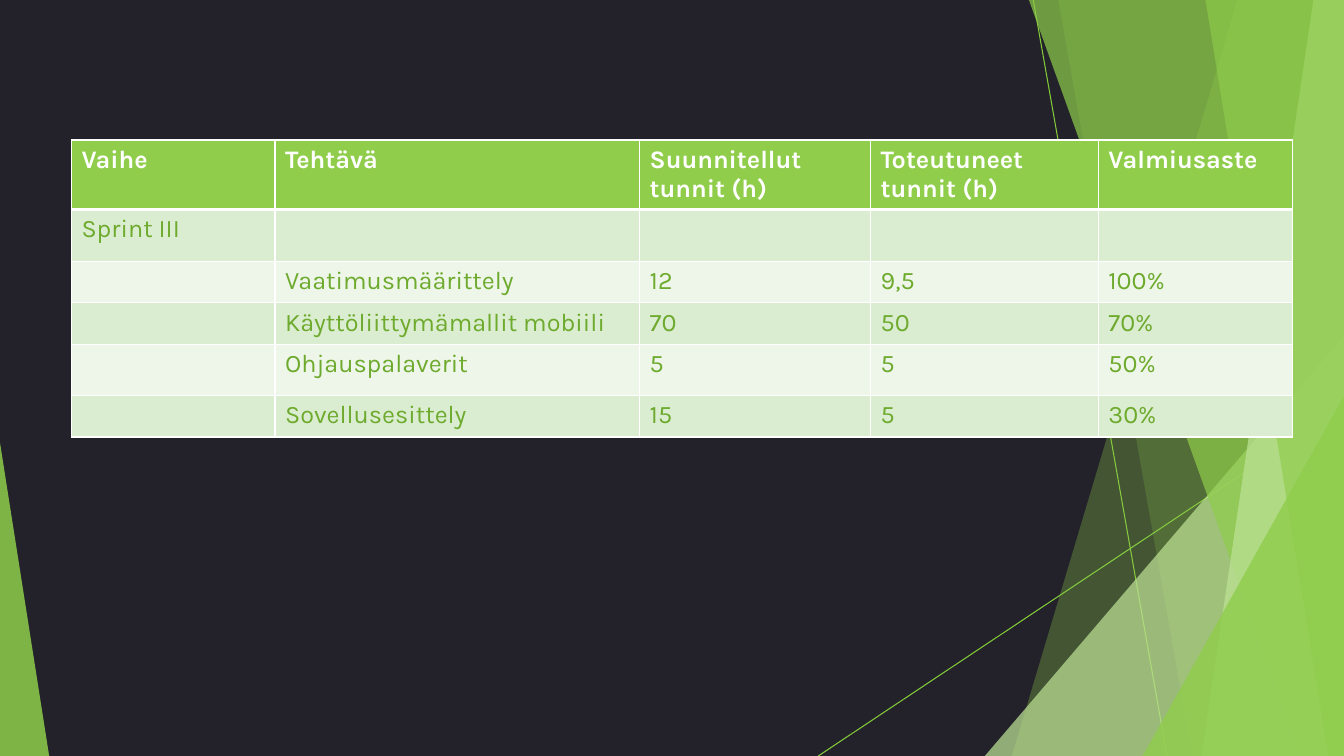
from dataclasses import dataclass

from lxml import etree
from pptx import Presentation, util as u
from pptx.dml.color import RGBColor
from pptx.enum import shapes
from pptx.oxml.ns import qn

Cm = u.Cm


@dataclass(frozen=True)
class Theme:
    """Colours, font and sizes of the slide."""
    back: str = "23222A"
    green: str = "8FCD4B"
    pale: str = "BDE295"
    line: str = "83CB39"
    ink: str = "6DAA2D"
    white: str = "FFFFFF"
    bands: tuple = ("DBEDD0", "EEF6E9")
    font: str = "Karla"
    size: int = 18
    thin: float = 0.75
    rule: int = 1
    thick: int = 3


THEME = Theme()
WIDE, HIGH = 33.87, 19.05
COLS = (5.13, 9.19, 5.82, 5.74, 4.9)
ROWS = (1.75, 1.3, 1.05, 1.05, 1.28, 1.05)
HOURS = (
    ("Vaihe", "Tehtävä", "Suunnitellut tunnit (h)", "Toteutuneet tunnit (h)", "Valmiusaste"),
    ("Sprint III", "", "", "", ""),
    ("", "Vaatimusmäärittely", "12", "9,5", "100%"),
    ("", "Käyttöliittymämallit mobiili", "70", "50", "70%"),
    ("", "Ohjauspalaverit", "5", "5", "50%"),
    ("", "Sovellusesittely", "15", "5", "30%"),
)


def paint(fill, tint):
    """Give a fill one solid colour."""
    fill.solid()
    fill.fore_color.rgb = RGBColor.from_string(tint)


def glaze(shape, tint, share):
    """Fill a shape with a see-through colour and no outline."""
    shape.shadow.inherit = False
    shape.line.fill.background()
    paint(shape.fill, tint)
    color = shape.fill._xPr.find(".//" + qn("a:srgbClr"))
    etree.SubElement(color, qn("a:alpha"), val=str(share * 1000))


def streak(slide, start, end):
    """Draw a thin line between two points."""
    line = slide.shapes.add_connector(
        shapes.MSO_CONNECTOR.STRAIGHT, *(Cm(n) for n in start + end))
    line.line.width = u.Pt(THEME.thin)
    line.line.color.rgb = RGBColor.from_string(THEME.line)
    etree.SubElement(line._element.spPr, qn("a:effectLst"))


def panel(slide, top, foot, tint, share):
    """Draw a full-height panel from a slanted edge to the right side."""
    pen = slide.shapes.build_freeform(Cm(top), 0)
    pen.add_line_segments(
        [(Cm(x), Cm(y)) for x, y in ((WIDE, 0), (WIDE, HIGH), (foot, HIGH))])
    glaze(pen.convert_to_shape(), tint, share)


def wedge(slide, left, top, wide, peak, tint, share):
    """Draw a triangle that stands on the foot of the slide."""
    shape = slide.shapes.add_shape(
        shapes.MSO_SHAPE.ISOSCELES_TRIANGLE,
        Cm(left), Cm(top), Cm(wide), Cm(HIGH - top))
    shape.adjustments[0] = peak
    glaze(shape, tint, share)


def edge(cell, side, width):
    """Add one white border to a cell."""
    line = etree.SubElement(
        cell._tc.get_or_add_tcPr(), qn("a:ln" + side), w=str(u.Pt(width)))
    solid = etree.SubElement(line, qn("a:solidFill"))
    etree.SubElement(solid, qn("a:srgbClr"), val=THEME.white)


def write(cell, words, row):
    """Set the borders, fill and text of a cell."""
    head = row == 0
    heavy = {(0, "B"), (1, "T")}
    for side in "LRTB":
        edge(cell, side, THEME.thick if (row, side) in heavy else THEME.rule)
    paint(cell.fill, THEME.green if head else THEME.bands[(row - 1) % 2])
    part = cell.text_frame.paragraphs[0]
    font = part.font
    if words:
        run = part.add_run()
        run.text = words
        font = run.font
    style = {"name": THEME.font, "size": u.Pt(THEME.size), "bold": head}
    for key, value in style.items():
        setattr(font, key, value)
    font.color.rgb = RGBColor.from_string(THEME.white if head else THEME.ink)


def grid(slide, left, top):
    """Build the table of hours."""
    table = slide.shapes.add_table(
        len(ROWS), len(COLS), Cm(left), Cm(top),
        Cm(sum(COLS)), Cm(sum(ROWS))).table
    table.horz_banding = False
    for col, wide in zip(table.columns, COLS):
        col.width = Cm(wide)
    for row, high in enumerate(ROWS):
        table.rows[row].height = Cm(high)
        for col, words in enumerate(HOURS[row]):
            write(table.cell(row, col), words, row)


def main():
    """Build and save the slide."""
    deck = Presentation()
    deck.slide_width, deck.slide_height = Cm(WIDE), Cm(HIGH)
    slide = deck.slides.add_slide(deck.slide_layouts[6])
    paint(slide.background.fill, THEME.back)
    streak(slide, (26.04, 0), (29.41, HIGH))
    streak(slide, (WIDE, 10.24), (20.62, HIGH))
    panel(slide, 31.19, 25.5, THEME.green, 30)
    panel(slide, 26.67, 30.05, THEME.green, 20)
    wedge(slide, 24.82, 8.46, 9.05, 1, THEME.pale, 72)
    panel(slide, 25.93, 32.79, THEME.green, 70)
    panel(slide, 33.1, 30.28, THEME.pale, 70)
    panel(slide, 30.38, 33.48, THEME.green, 65)
    wedge(slide, 28.8, 9.98, 5.07, 1, THEME.green, 80)
    wedge(slide, 0, 11.15, 1.24, 0, THEME.green, 85)
    grid(slide, 1.8, 3.53)
    deck.save("out.pptx")


main()
